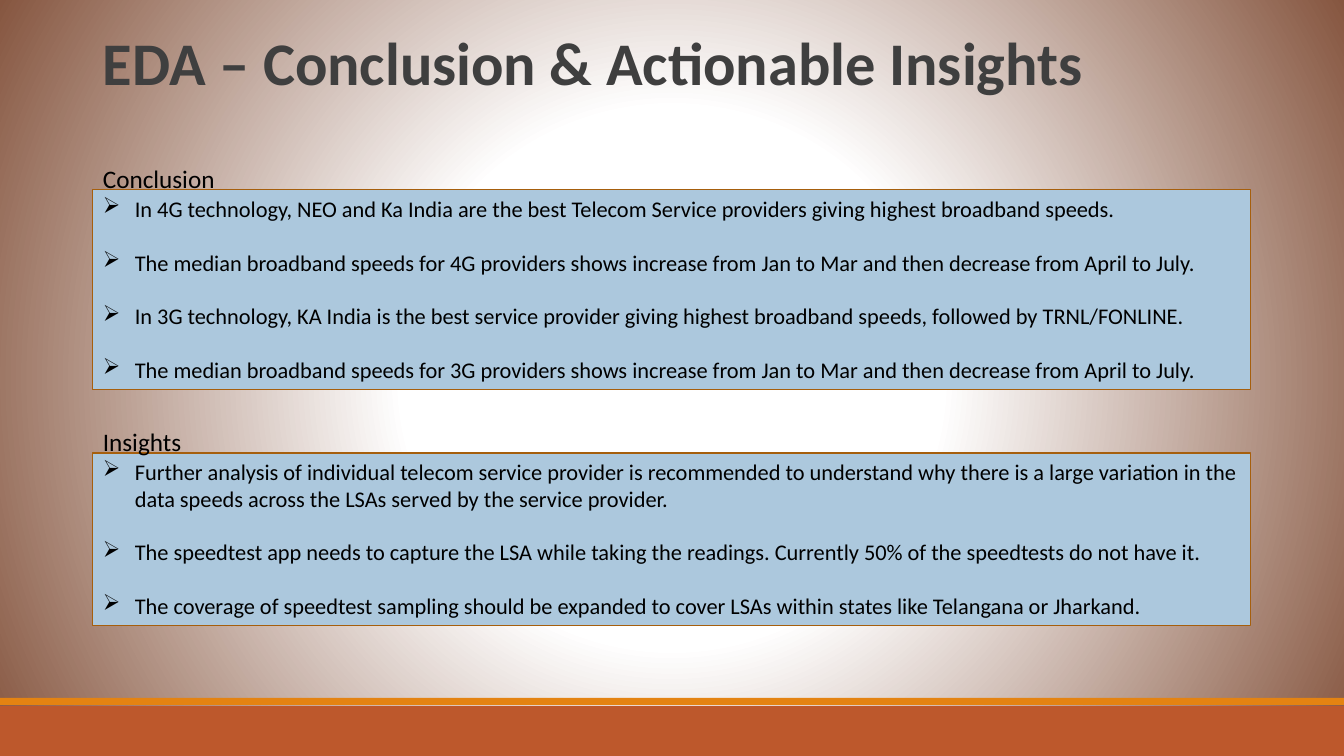
from lxml.etree import SubElement
from pptx import Presentation
from pptx.dml.color import RGBColor
from pptx.enum.shapes import MSO_SHAPE
from pptx.enum.text import MSO_ANCHOR, PP_ALIGN
from pptx.oxml import parse_xml
from pptx.oxml.ns import nsdecls, qn
from pptx.util import Pt

EMU_PER_PX = 914400 / 100.8
WIDTH, HEIGHT = 1344, 756
LEFT, BOX_WIDTH = 93, 1158
LABEL_RISE = 32

COLORS = {
    "white": "FFFFFF",
    "edge": "865640",
    "band": "BD582C",
    "strip": "E48312",
    "title": "3F3F3F",
    "text": "000000",
    "box": "ACC8DD",
    "outline": "A65F0D",
}

# Label, top and height of each box, points
SECTIONS = [
    ("Conclusion", 190, 200, [
        "In 4G technology, NEO and Ka India are the best Telecom Service providers giving highest broadband speeds.",
        "The median broadband speeds for 4G providers shows increase from Jan to Mar and then decrease from April to July.",
        "In 3G technology, KA India is the best service provider giving highest broadband speeds, followed by TRNL/FONLINE.",
        "The median broadband speeds for 3G providers shows increase from Jan to Mar and then decrease from April to July.",
    ]),
    ("Insights", 453, 173, [
        "Further analysis of individual telecom service provider is recommended to understand why there is a large "
        "variation in the data speeds across the LSAs served by the service provider.",
        "The speedtest app needs to capture the LSA while taking the readings. Currently 50% of the speedtests do not have it.",
        "The coverage of speedtest sampling should be expanded to cover LSAs within states like Telangana or Jharkand.",
    ]),
]


def px(value):
    return round(value * EMU_PER_PX)


def rgb(name):
    return RGBColor.from_string(COLORS[name])


class SlideBuilder:
    font = "Calibri"
    body_size = 16
    label_size = 18
    title_size = 43.2

    def __init__(self, presentation):
        self.slide = presentation.slides.add_slide(presentation.slide_layouts[6])

    def background(self, stops):
        stop_xml = "".join(
            f'<a:gs pos="{percent * 1000}"><a:srgbClr val="{COLORS[name]}"/></a:gs>'
            for percent, name in stops)
        self.slide.element.cSld.insert(0, parse_xml(
            f'<p:bg {nsdecls("p", "a")}><p:bgPr><a:gradFill rotWithShape="1">'
            f'<a:gsLst>{stop_xml}</a:gsLst><a:path path="circle">'
            '<a:fillToRect l="50000" t="50000" r="50000" b="50000"/></a:path>'
            '</a:gradFill><a:effectLst/></p:bgPr></p:bg>'))

    def rectangle(self, left, top, width, height, fill, line=None):
        shape = self.slide.shapes.add_shape(
            MSO_SHAPE.RECTANGLE, px(left), px(top), px(width), px(height))
        shape.shadow.inherit = False
        shape.fill.solid()
        shape.fill.fore_color.rgb = rgb(fill)
        if line:
            shape.line.color.rgb = rgb(line)
            shape.line.width = Pt(0.75)
        else:
            shape.line.fill.background()
        return shape

    def format_runs(self, paragraph, size, color="text", bold=False):
        for run in paragraph.runs:
            run.font.name = self.font
            run.font.size = Pt(size)
            run.font.bold = bold
            run.font.color.rgb = rgb(color)

    def text(self, left, top, width, height, words, size, color="text", bold=False, spacing=1.0):
        shape = self.slide.shapes.add_textbox(px(left), px(top), px(width), px(height))
        text_frame = shape.text_frame
        text_frame.word_wrap = True
        text_frame.text = words
        paragraph = text_frame.paragraphs[0]
        paragraph.line_spacing = spacing
        self.format_runs(paragraph, size, color, bold)

    def bullet(self, paragraph):
        properties = paragraph._p.get_or_add_pPr()
        indent = px(32)
        properties.set("marL", str(indent))
        properties.set("indent", str(-indent))
        color = SubElement(properties, qn("a:buClr"))
        SubElement(color, qn("a:srgbClr")).set("val", COLORS["text"])
        # Ø is the arrowhead in the Wingdings symbol set
        bullet_font = SubElement(properties, qn("a:buFont"))
        bullet_font.set("typeface", "Wingdings")
        bullet_font.set("charset", "2")
        SubElement(properties, qn("a:buChar")).set("char", "Ø")

    def bullet_box(self, left, top, width, height, points):
        shape = self.rectangle(left, top, width, height, "box", "outline")
        text_frame = shape.text_frame
        text_frame.word_wrap = True
        text_frame.vertical_anchor = MSO_ANCHOR.TOP
        text_frame.text = "\n".join(points)
        for number, paragraph in enumerate(text_frame.paragraphs):
            paragraph.alignment = PP_ALIGN.LEFT
            if number:
                paragraph.space_before = Pt(19.2)
            self.bullet(paragraph)
            self.format_runs(paragraph, self.body_size)


def main():
    presentation = Presentation()
    presentation.slide_width = px(WIDTH)
    presentation.slide_height = px(HEIGHT)
    builder = SlideBuilder(presentation)

    # Background and footer bands
    builder.background([(0, "white"), (35, "white"), (100, "edge")])
    builder.rectangle(0, 706, WIDTH, 50, "band")
    builder.rectangle(0, 698, WIDTH, 7, "strip")

    # Title
    builder.text(LEFT, 31, BOX_WIDTH, 117, "EDA – Conclusion & Actionable Insights",
                 builder.title_size, "title", bold=True, spacing=0.85)

    # Labelled boxes
    for label, top, height, points in SECTIONS:
        builder.bullet_box(LEFT, top, BOX_WIDTH, height, points)
        builder.text(LEFT, top - LABEL_RISE, 185, 40, label, builder.label_size)

    presentation.save("out.pptx")


if __name__ == "__main__":
    main()
